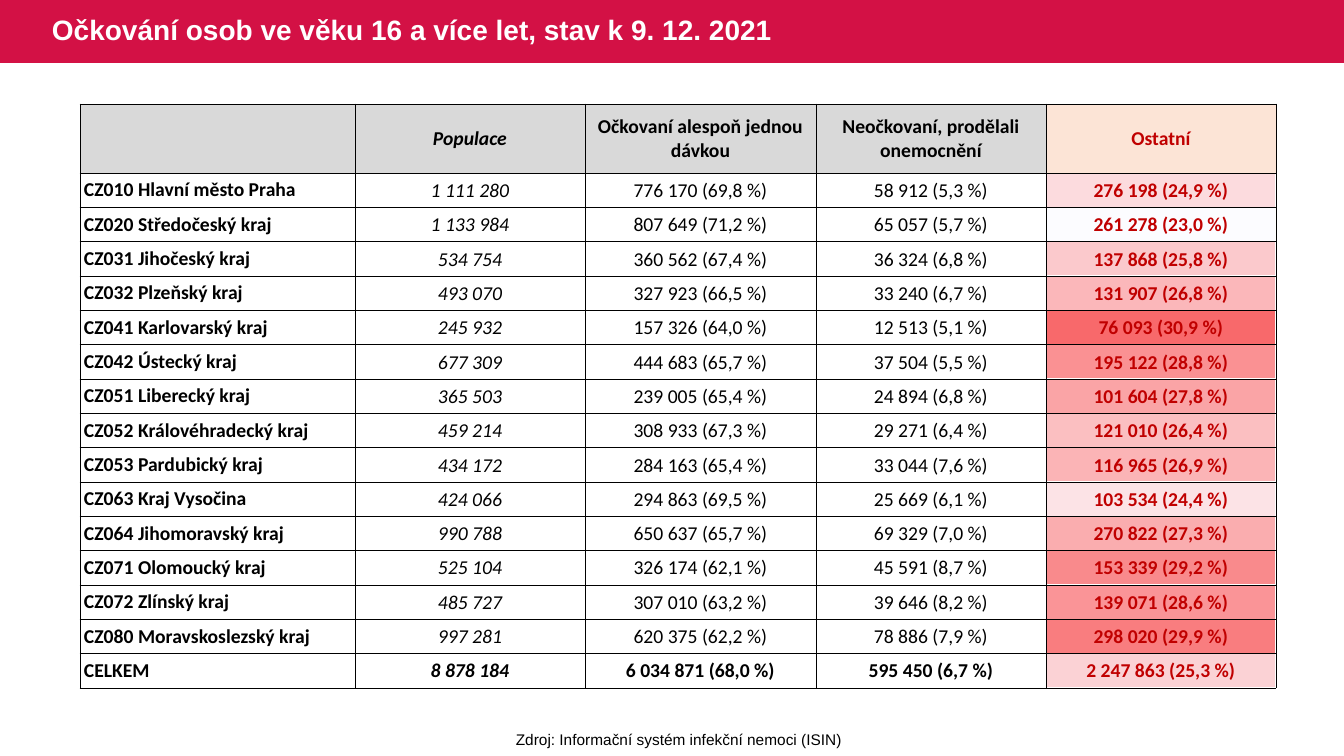
from pptx import Presentation
from pptx.dml.color import RGBColor
from pptx.enum.shapes import MSO_SHAPE
from pptx.enum.text import MSO_ANCHOR, PP_ALIGN
from pptx.oxml import parse_xml
from pptx.oxml.ns import nsdecls
from pptx.util import Pt

RECT = MSO_SHAPE.RECTANGLE
TOP, MIDDLE = MSO_ANCHOR.TOP, MSO_ANCHOR.MIDDLE
LEFT, CENTER = PP_ALIGN.LEFT, PP_ALIGN.CENTER

TITLE = "Očkování osob ve věku 16 a více let, stav k 9. 12. 2021"
SOURCE = "Zdroj: Informační systém infekční nemoci (ISIN)"
HEAD = ("", "Populace", "Očkovaní alespoň jednou dávkou",
        "Neočkovaní, prodělali onemocnění", "Ostatní")
HEAD_FILLS = ("D9D9D9",) * 4 + ("FCE4D6",)
# Region, population, vaccinated, recovered, others, shade behind the last cell
REGIONS = [
    ("CZ010 Hlavní město Praha", "1 111 280", "776 170 (69,8 %)", "58 912 (5,3 %)", "276 198 (24,9 %)", "FCDBDE"),
    ("CZ020 Středočeský kraj", "1 133 984", "807 649 (71,2 %)", "65 057 (5,7 %)", "261 278 (23,0 %)", "FCFCFF"),
    ("CZ031 Jihočeský kraj", "534 754", "360 562 (67,4 %)", "36 324 (6,8 %)", "137 868 (25,8 %)", "FBC9CC"),
    ("CZ032 Plzeňský kraj", "493 070", "327 923 (66,5 %)", "33 240 (6,7 %)", "131 907 (26,8 %)", "FBB7BA"),
    ("CZ041 Karlovarský kraj", "245 932", "157 326 (64,0 %)", "12 513 (5,1 %)", "76 093 (30,9 %)", "F8696B"),
    ("CZ042 Ústecký kraj", "677 309", "444 683 (65,7 %)", "37 504 (5,5 %)", "195 122 (28,8 %)", "FA9193"),
    ("CZ051 Liberecký kraj", "365 503", "239 005 (65,4 %)", "24 894 (6,8 %)", "101 604 (27,8 %)", "FAA4A6"),
    ("CZ052 Královéhradecký kraj", "459 214", "308 933 (67,3 %)", "29 271 (6,4 %)", "121 010 (26,4 %)", "FBBFC1"),
    ("CZ053 Pardubický kraj", "434 172", "284 163 (65,4 %)", "33 044 (7,6 %)", "116 965 (26,9 %)", "FBB4B6"),
    ("CZ063 Kraj Vysočina", "424 066", "294 863 (69,5 %)", "25 669 (6,1 %)", "103 534 (24,4 %)", "FCE3E6"),
    ("CZ064 Jihomoravský kraj", "990 788", "650 637 (65,7 %)", "69 329 (7,0 %)", "270 822 (27,3 %)", "FAADAF"),
    ("CZ071 Olomoucký kraj", "525 104", "326 174 (62,1 %)", "45 591 (8,7 %)", "153 339 (29,2 %)", "F98A8C"),
    ("CZ072 Zlínský kraj", "485 727", "307 010 (63,2 %)", "39 646 (8,2 %)", "139 071 (28,6 %)", "FA9497"),
    ("CZ080 Moravskoslezský kraj", "997 281", "620 375 (62,2 %)", "78 886 (7,9 %)", "298 020 (29,9 %)", "F97D7F"),
    ("CELKEM", "8 878 184", "6 034 871 (68,0 %)", "595 450 (6,7 %)", "2 247 863 (25,3 %)", "FBD2D5"),
]

WIDE, HIGH, BAR = 1344, 756, 63
GRID_X, GRID_Y = 80, 104
COLS = (275, 230, 231, 230, 230)
HEAD_H, BODY_H = 69, 515
SCALE = 914400 / 100.8


def px(n):
    return round(n * SCALE)


def paint(fill, color):
    fill.solid()
    fill.fore_color.rgb = RGBColor.from_string(color)


def write(frame, text, align, color, **look):
    para = frame.paragraphs[0]
    para.text = text
    para.alignment = align
    for name, value in look.items():
        setattr(para.font, name, value)
    para.font.color.rgb = RGBColor.from_string(color)
    return para


def label(slide, box, text, align, anchor, color, wrap, **look):
    frame = slide.shapes.add_textbox(*map(px, box)).text_frame
    frame.word_wrap = wrap
    frame.vertical_anchor = anchor
    return write(frame, text, align, color, **look)


def border(cell):
    """Draw a thin black line on all four sides."""
    props = cell._tc.get_or_add_tcPr()
    for i, side in enumerate(("lnL", "lnR", "lnT", "lnB")):
        props.insert(i, parse_xml(
            f'<a:{side} {nsdecls("a")} w="{Pt(0.5)}"><a:solidFill>'
            f'<a:srgbClr val="000000"/></a:solidFill></a:{side}>'))


def set_cell(cell, text, head, total, col):
    side, end = (4, 0) if head or col == 0 else (1, 1)
    form = {"vertical_anchor": MIDDLE, "margin_left": px(side), "margin_right": px(side),
            "margin_top": px(end), "margin_bottom": 0}
    for name, value in form.items():
        setattr(cell, name, value)
    write(cell.text_frame, text, CENTER if col else LEFT,
          "C00000" if col == 4 else "000000", name="Calibri", size=Pt(14),
          bold=head or total or col in (0, 4), italic=col == 1)


def add_table(slide, left, top, cols, rows):
    """Add a plain table with the given column widths and row heights."""
    box = (left, top, sum(cols), sum(rows))
    table = slide.shapes.add_table(len(rows), len(cols), *map(px, box)).table
    table.horz_banding = False
    table.first_row = False
    for col, width in zip(table.columns, cols):
        col.width = px(width)
    for row, height in zip(table.rows, rows):
        row.height = px(height)
    return table


def add_shades(slide, rows):
    left = GRID_X + sum(COLS[:-1])
    table = add_table(slide, left, GRID_Y + HEAD_H, COLS[-1:], rows)
    for r, region in enumerate(REGIONS):
        cell = table.cell(r, 0)
        set_cell(cell, "", False, False, 4)
        paint(cell.fill, region[-1])


def add_grid(slide, rows):
    table = add_table(slide, GRID_X, GRID_Y, COLS, [HEAD_H] + rows)
    for r, texts in enumerate([HEAD] + [region[:-1] for region in REGIONS]):
        for c, text in enumerate(texts):
            cell = table.cell(r, c)
            set_cell(cell, text, r == 0, r == len(REGIONS), c)
            if r:
                cell.fill.background()
            else:
                paint(cell.fill, HEAD_FILLS[c])
            border(cell)


def main():
    deck = Presentation()
    deck.slide_width, deck.slide_height = px(WIDE), px(HIGH)
    slide = deck.slides.add_slide(deck.slide_layouts[6])
    bar = slide.shapes.add_shape(RECT, 0, 0, px(WIDE), px(BAR))
    bar.shadow.inherit = False
    paint(bar.fill, "D31145")
    bar.line.fill.background()
    rows = [BODY_H / len(REGIONS)] * len(REGIONS)
    add_shades(slide, rows)
    title = label(slide, (42, 0, 835, BAR), TITLE, LEFT, MIDDLE, "FFFFFF", True,
                  name="Arial", size=Pt(20), bold=True)
    title.line_spacing = 0.9
    add_grid(slide, rows)
    label(slide, (505, 725, 348, 29), SOURCE, CENTER, TOP, "000000", False,
          name="Arial", size=Pt(11))
    deck.save("out.pptx")


if __name__ == "__main__":
    main()
